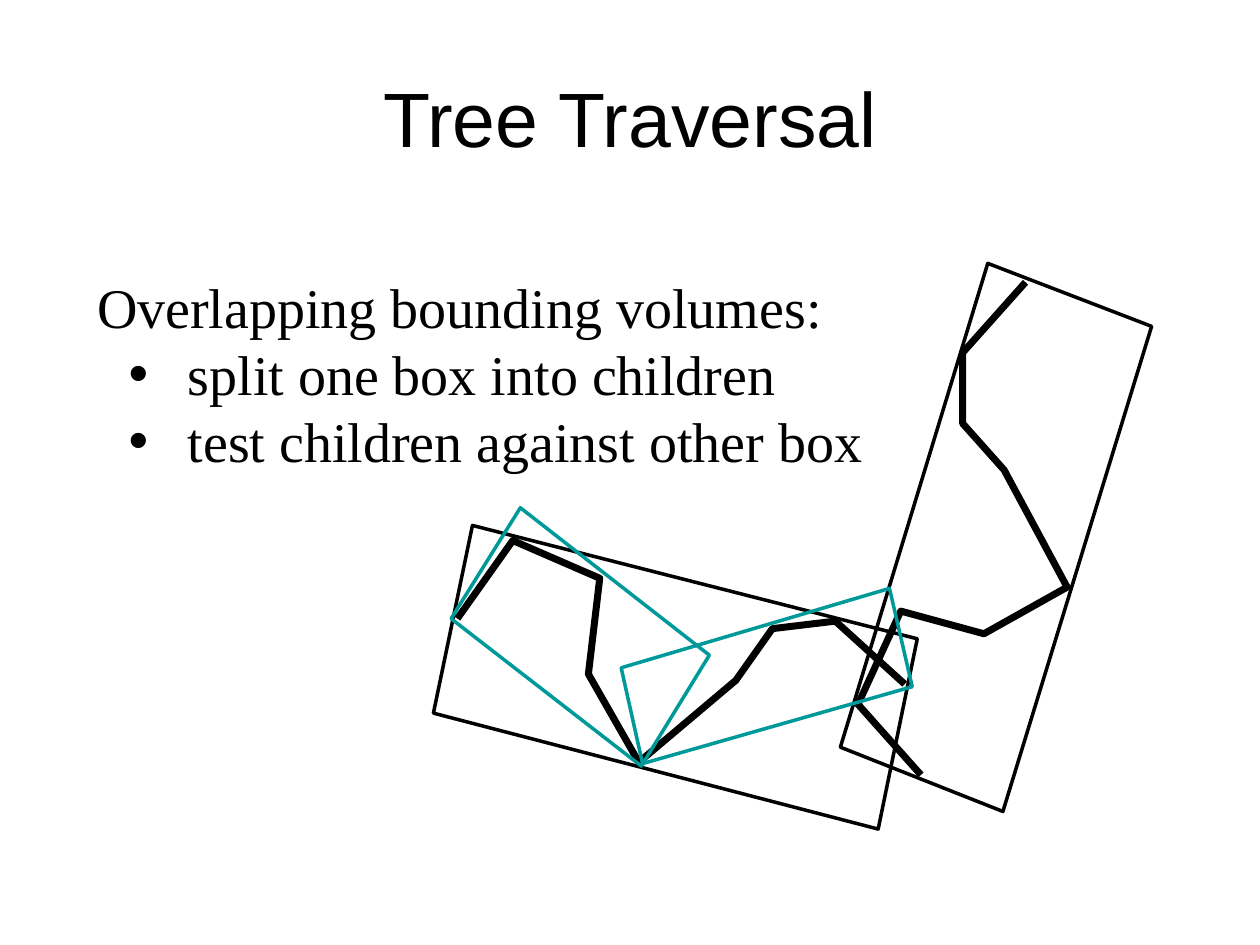
from lxml import etree
from pptx import Presentation
from pptx.dml.color import RGBColor
from pptx.enum import text
from pptx.oxml import ns
from pptx.util import Inches, Pt

COLORS = {"ink": "000000", "child": "009999"}
TITLE_FORMAT = {"name": "Arial", "size": Pt(44)}
BODY_FORMAT = {"name": "Times New Roman", "size": Pt(32)}

UPRIGHT_CURVE = [(8.14, 2.24), (7.64, 2.8), (7.64, 3.36), (7.97, 3.73), (8.47, 4.66),
                 (7.81, 5.03), (7.15, 4.85), (6.81, 5.59), (7.31, 6.15)]
UPRIGHT_BOX = [(7.84, 2.09), (9.14, 2.59), (7.96, 6.44), (6.67, 5.93)]
FLAT_CURVE = [(7.18, 5.43), (6.63, 4.93), (6.13, 4.99), (5.84, 5.4), (5.07, 6.05),
              (4.67, 5.35), (4.76, 4.59), (4.07, 4.29), (3.63, 4.91)]
FLAT_BOX = [(7.28, 5.07), (6.97, 6.58), (3.44, 5.66), (3.75, 4.17)]
RIGHT_CHILD = [(7.06, 4.67), (7.24, 5.45), (5.1, 6.06), (4.93, 5.3)]
LEFT_CHILD = [(5.63, 5.2), (5.09, 6.08), (3.58, 4.91), (4.13, 4.03)]


def color(key):
    return RGBColor.from_string(COLORS[key])


def place(sp, left, top, width, height):
    bounds = {"left": left, "top": top, "width": width, "height": height}
    for name, value in bounds.items():
        setattr(sp, name, Inches(value))


def format_font(font, values):
    for name, value in values.items():
        setattr(font, name, value)
    font.color.rgb = color("ink")


def set_bullet(p, char=None, left=0, indent=0):
    pPr = p._p.get_or_add_pPr()
    pPr.set("marL", str(Inches(left)))
    pPr.set("indent", str(Inches(indent)))
    if char:
        etree.SubElement(pPr, ns.qn("a:buFont")).set("typeface", "Arial")
        etree.SubElement(pPr, ns.qn("a:buChar")).set("char", char)
    else:
        etree.SubElement(pPr, ns.qn("a:buNone"))


def add_title(s, title):
    sp = s.shapes.title
    place(sp, 0.5, 0.3, 9, 1.25)
    tf = sp.text_frame
    tf.vertical_anchor = text.MSO_ANCHOR.MIDDLE
    p = tf.paragraphs[0]
    p.alignment = text.PP_ALIGN.CENTER
    r = p.add_run()
    r.text = title
    format_font(r.font, TITLE_FORMAT)


def add_body(s, heading, items):
    sp = s.placeholders[1]
    place(sp, 0.67, 2.11, 6.44, 1.7)
    tf = sp.text_frame
    tf.word_wrap = True
    tf.auto_size = text.MSO_AUTO_SIZE.NONE
    tf.vertical_anchor = text.MSO_ANCHOR.TOP
    for i, line in enumerate([heading] + items):
        p = tf.add_paragraph() if i else tf.paragraphs[0]
        p.level = 1 if i else 0
        p.space_before = Pt(0)
        if i:
            set_bullet(p, "•", 0.72, -0.47)
        else:
            set_bullet(p)
        r = p.add_run()
        r.text = line
        format_font(r.font, BODY_FORMAT)


def add_outline(group, points, line_color="ink", weight=2, close=True):
    start, *rest = [(Inches(x), Inches(y)) for x, y in points]
    builder = group.shapes.build_freeform(*start)
    builder.add_line_segments(rest, close=close)
    sp = builder.convert_to_shape()
    sp.shadow.inherit = False
    sp.fill.background()
    sp.line.color.rgb = color(line_color)
    sp.line.width = Pt(weight)


def add_curve(group, points):
    add_outline(group, points, weight=4, close=False)


def main():
    prs = Presentation()
    prs.slide_width, prs.slide_height = Inches(10), Inches(7.5)
    s = prs.slides.add_slide(prs.slide_layouts[1])
    group = s.shapes.add_group_shape()
    for curve, box in [(UPRIGHT_CURVE, UPRIGHT_BOX), (FLAT_CURVE, FLAT_BOX)]:
        add_curve(group, curve)
        add_outline(group, box)
    for box in (RIGHT_CHILD, LEFT_CHILD):
        add_outline(group, box, "child")
    add_body(s, "Overlapping bounding volumes:",
             ["split one box into children", "test children against other box"])
    add_title(s, "Tree Traversal")
    prs.save("out.pptx")


if __name__ == "__main__":
    main()
